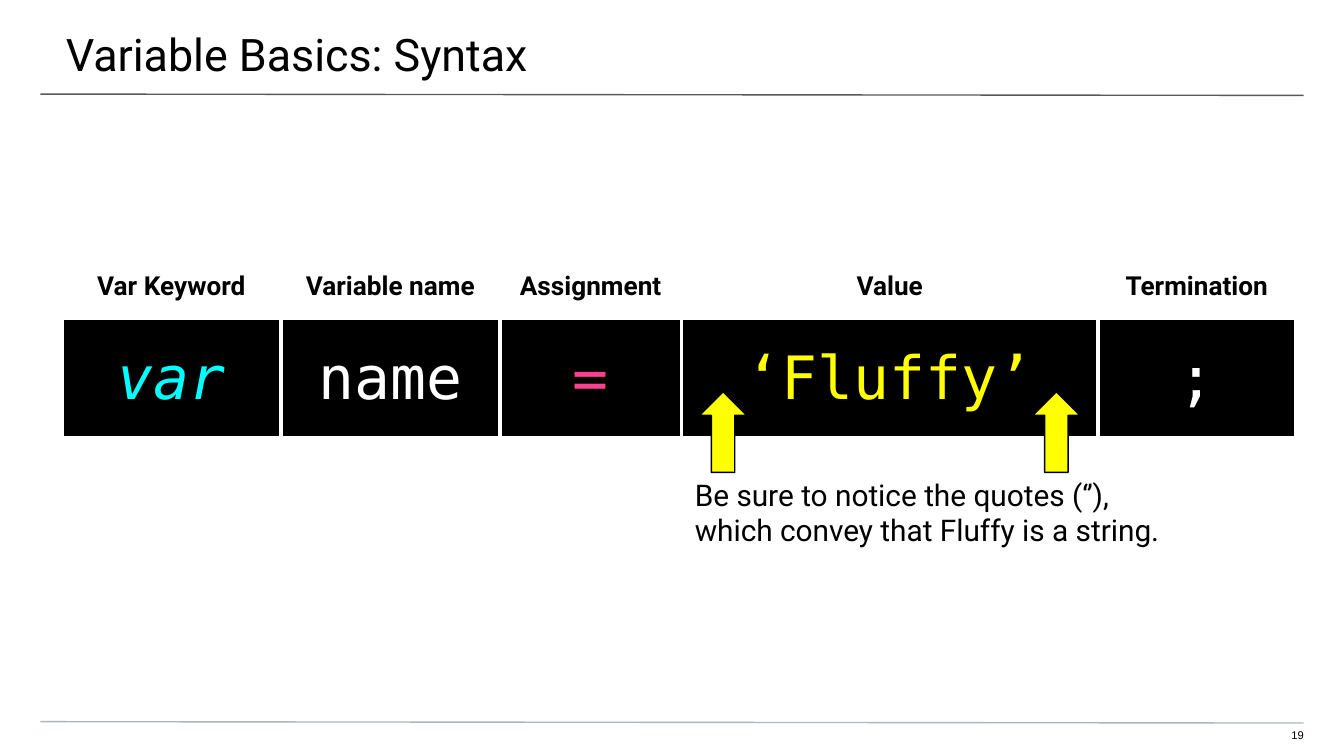
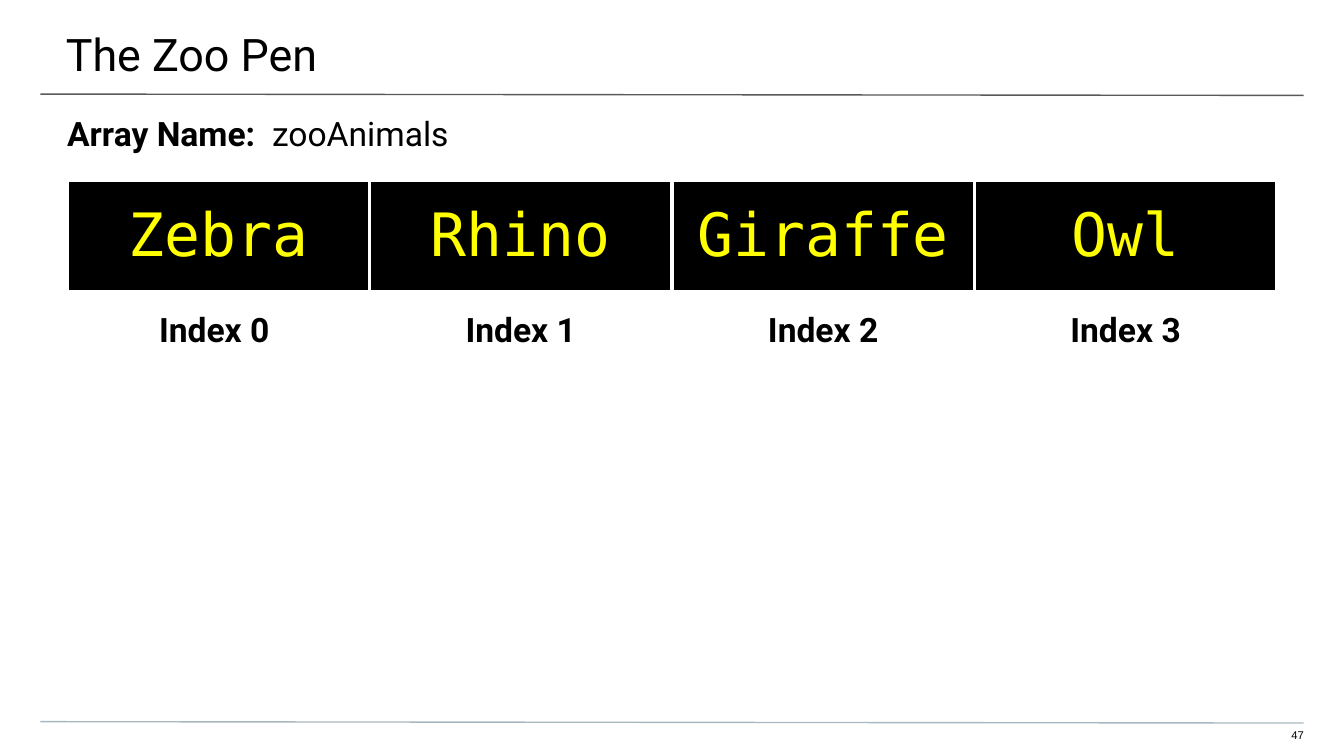
from pptx import Presentation
from pptx.dml.color import RGBColor
from pptx.enum.shapes import MSO_CONNECTOR, MSO_SHAPE
from pptx.enum.text import MSO_ANCHOR, PP_ALIGN
from pptx.oxml.ns import qn
from pptx.util import Inches, Pt
from lxml.etree import SubElement

COLORS = {
    "black": "000000", "white": "FFFFFF", "yellow": "FFFF00",
    "cyan": "00FFFF", "pink": "FF408F",
    "title_rule": "595959", "footer_rule": "A9B7C0",
}
BODY_FONT, CODE_FONT, NUMBER_FONT = "Roboto", "DejaVu Sans Mono", "Arial"
CODE_SIZE = 32

RULES = [(0.7, "title_rule"), (5.37, "footer_rule")]

SYNTAX_PARTS = [
    ("Var Keyword", "var", "cyan", 1.63),
    ("Variable name", "name", "white", 1.63),
    ("Assignment", "=", "pink", 1.35),
    ("Value", "‘Fluffy’", "yellow", 3.1),
    ("Termination", ";", "white", 1.47),
]
VALUE_COLUMN = 3
QUOTE_NOTE = "Be sure to notice the quotes (‘’), \vwhich convey that Fluffy is a string."
QUOTE_ARROWS = [5.08, 7.56]

ARRAY_NAME = [("Array Name: ", True), (" zooAnimals", False)]
ANIMALS = [("Zebra", "Index 0 "), ("Rhino", "Index 1"), ("Giraffe", "Index 2"), ("Owl", "Index 3")]


def rgb(name):
    return RGBColor.from_string(COLORS[name])


def style(font, size, name=BODY_FONT, color="black", bold=False, italic=False):
    font.size, font.name = Pt(size), name
    font.bold, font.italic = bold, italic
    font.color.rgb = rgb(color)


def add_text(page, place, insets, runs, size, font=BODY_FONT, align=PP_ALIGN.LEFT):
    frame = page.shapes.add_textbox(*map(Inches, place)).text_frame
    frame.word_wrap = True
    frame.margin_left, frame.margin_top, frame.margin_right, frame.margin_bottom = map(Inches, insets)
    para = frame.paragraphs[0]
    para.alignment = align
    style(para.font, size, font)
    for text, bold in runs:
        span = para.add_run()
        span.text = text
        span.font.bold = bold


def add_rule(page, top, color):
    rule = page.shapes.add_connector(
        MSO_CONNECTOR.STRAIGHT, Inches(0.3), Inches(top), Inches(9.7), Inches(top + 0.01))
    rule.line.color.rgb = rgb(color)
    rule.line.width = Pt(0.75)
    SubElement(rule._element.spPr, qn("a:effectLst"))


def add_page(deck, title, number):
    page = deck.slides.add_slide(deck.slide_layouts[6])
    for top, color in RULES:
        add_rule(page, top, color)
    add_text(page, (-0.01, 0, 10.03, 0.58), (0.5, 0.2, 0.3, 0.1), [(title, False)], 24)
    add_text(page, (9.41, 5.42, 0.29, 0.12), (0, 0, 0, 0.1), [(number, False)], 6,
             NUMBER_FONT, PP_ALIGN.RIGHT)
    return page


def add_borders(cell):
    properties = cell._tc.get_or_add_tcPr()
    for position, side in enumerate(("lnL", "lnR", "lnT", "lnB")):
        border = SubElement(properties, qn(f"a:{side}"), w=str(Pt(2.25)))
        fill = SubElement(border, qn("a:solidFill"))
        SubElement(fill, qn("a:srgbClr"), val=COLORS["white"])
        properties.remove(border)
        properties.insert(position, border)


def add_grid(page, left, top, widths, heights):
    frame = page.shapes.add_table(
        len(heights), len(widths), Inches(left), Inches(top),
        Inches(sum(widths)), Inches(sum(heights)))
    table = frame.table
    table.first_row = table.horz_banding = False
    for column, width in zip(table.columns, widths):
        column.width = Inches(width)
    for row, height in zip(table.rows, heights):
        row.height = Inches(height)
    for cell in table.iter_cells():
        cell.fill.solid()
        cell.fill.fore_color.rgb = rgb("white")
        cell.vertical_anchor = MSO_ANCHOR.MIDDLE
        cell.margin_left = cell.margin_right = Inches(0.1)
        cell.margin_top = cell.margin_bottom = 0
        add_borders(cell)
    return table


def fill_cell(cell, text, size, align=PP_ALIGN.CENTER, **look):
    para = cell.text_frame.paragraphs[0]
    para.text = text
    para.alignment = align
    style(para.font, size, **look)


def fill_code(cell, text, color, italic=False):
    cell.fill.fore_color.rgb = rgb("black")
    fill_cell(cell, text, CODE_SIZE, name=CODE_FONT, color=color, italic=italic)


def add_quote_arrow(page, left):
    arrow = page.shapes.add_shape(
        MSO_SHAPE.RIGHT_ARROW, Inches(left), Inches(3.04), Inches(0.6), Inches(0.35))
    arrow.rotation = 270
    arrow.shadow.inherit = False
    arrow.fill.solid()
    arrow.fill.fore_color.rgb = rgb("yellow")
    arrow.line.color.rgb = rgb("black")
    arrow.line.width = Pt(0.75)


def build_syntax(deck):
    page = add_page(deck, "Variable Basics: Syntax", "19")
    widths = [part[-1] for part in SYNTAX_PARTS]
    table = add_grid(page, 0.46, 1.89, widths, [0.48, 0.89, 0.89])
    for column, (label, code, color, _) in enumerate(SYNTAX_PARTS):
        fill_cell(table.cell(0, column), label, 14, bold=True)
        fill_code(table.cell(1, column), code, color, italic=code == "var")
    note = table.cell(2, VALUE_COLUMN)
    note.merge(table.cell(2, VALUE_COLUMN + 1))
    note.margin_top = Inches(0.24)
    fill_cell(note, QUOTE_NOTE, 16, PP_ALIGN.LEFT)
    for left in QUOTE_ARROWS:
        add_quote_arrow(page, left)


def build_zoo(deck):
    page = add_page(deck, "The Zoo Pen", "47")
    add_text(page, (0, 0.74, 10, 0.4), (0.5, 0.1, 0.5, 0), ARRAY_NAME, 18)
    table = add_grid(page, 0.5, 1.34, [9 / len(ANIMALS)] * len(ANIMALS), [0.83, 0.58])
    for column, (animal, label) in enumerate(ANIMALS):
        fill_code(table.cell(0, column), animal, "yellow")
        fill_cell(table.cell(1, column), label, 18, bold=True)


def main():
    deck = Presentation()
    deck.slide_width = Inches(10)
    deck.slide_height = deck.slide_width * 9 // 16
    build_syntax(deck)
    build_zoo(deck)
    deck.save("out.pptx")


if __name__ == "__main__":
    main()
